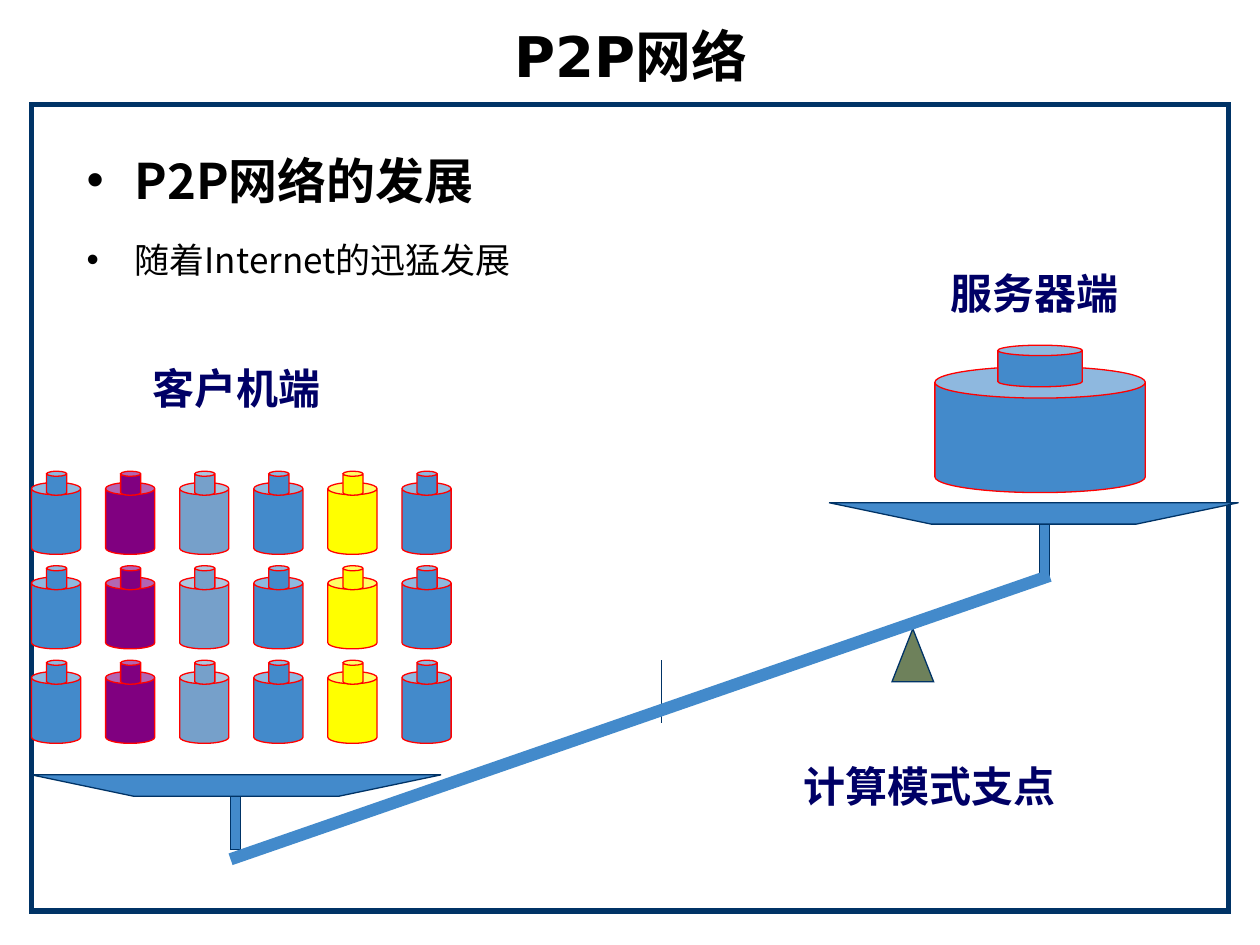
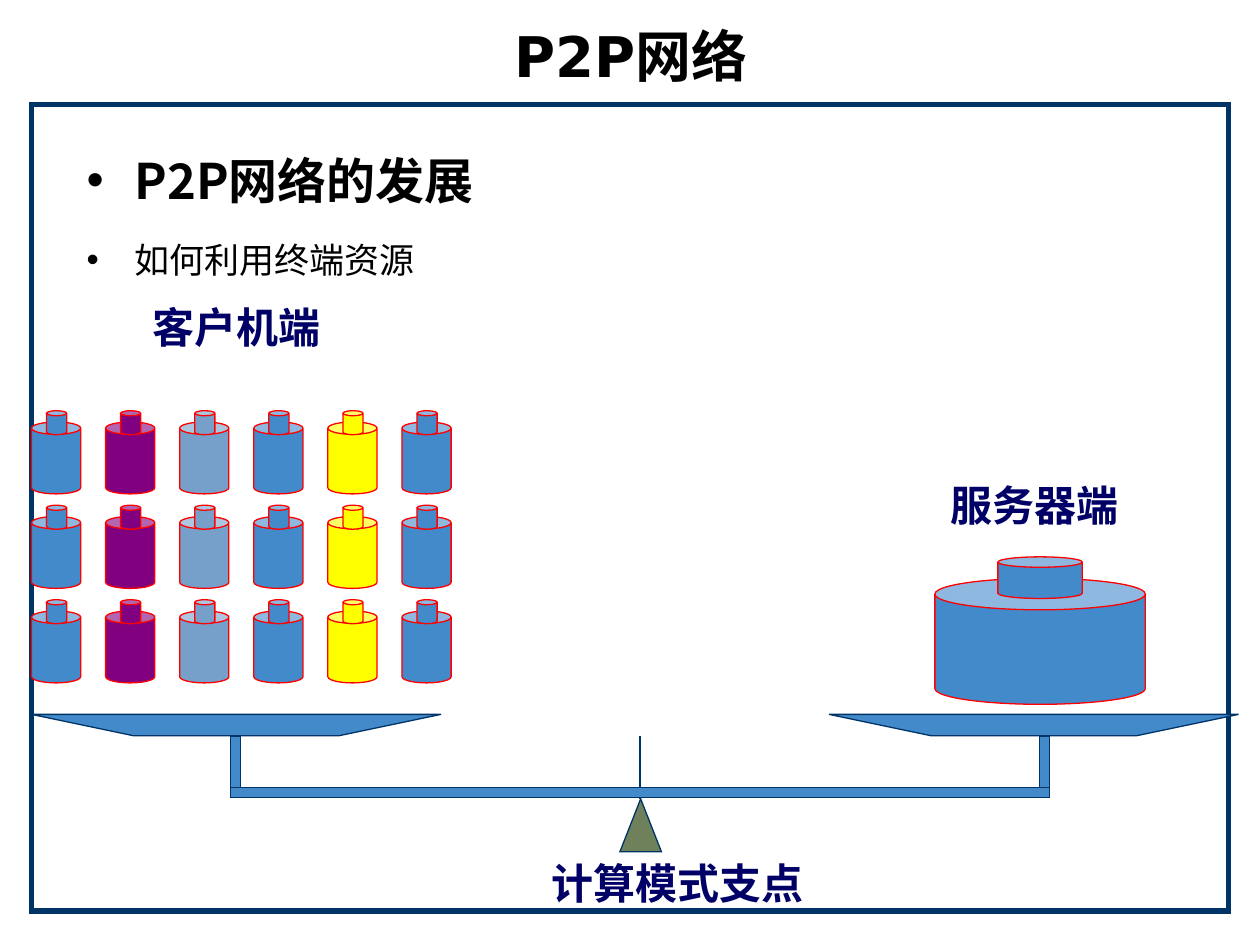
from lxml.etree import SubElement
from pptx import Presentation
from pptx.dml.color import RGBColor
from pptx.enum.shapes import MSO_CONNECTOR, MSO_SHAPE
from pptx.enum.text import MSO_ANCHOR, PP_ALIGN
from pptx.oxml.ns import qn
from pptx.util import Inches, Pt

BLACK = RGBColor(0x00, 0x00, 0x00)
WHITE = RGBColor(0xFF, 0xFF, 0xFF)
NAVY = RGBColor(0x00, 0x33, 0x66)
LABEL_BLUE = RGBColor(0x00, 0x00, 0x66)
BLUE = RGBColor(0x43, 0x8A, 0xCB)
PALE_BLUE = RGBColor(0x76, 0xA0, 0xCA)
PURPLE = RGBColor(0x80, 0x00, 0x80)
YELLOW = RGBColor(0xFF, 0xFF, 0x00)
OLIVE = RGBColor(0x6E, 0x81, 0x5B)
RED = RGBColor(0xFF, 0x00, 0x00)

CJK_FONT = "Noto Sans CJK SC"
TITLE_FONT = "DejaVu Sans"
LABEL_FONT = "Times New Roman"

CLIENT_COLOURS = [BLUE, PURPLE, PALE_BLUE, BLUE, YELLOW, BLUE]
CLIENT_ROWS = 3
CLIENT_LEFT, CLIENT_COLUMN_PITCH, CLIENT_ROW_PITCH = 0.25, 2.94 / 5, 0.75
LEFT_PAN_X, RIGHT_PAN_X = 0.25, 6.58
LEFT_POST_X, RIGHT_POST_X = 1.83, 8.25
PAN_WIDTH, PAN_DEPTH = 3.25, 0.17
BEAM_LEFT, BEAM_RIGHT, BEAM_DEPTH = 1.83, 8.33, 0.08
LABEL_WIDTH, FULCRUM_LABEL_WIDTH = 1.92, 2.4


def paint(shape, fill, line, width=0.75):
    """Give a shape a flat fill and a sharp-cornered outline without a shadow."""
    shape.shadow.inherit = False
    shape.fill.solid()
    shape.fill.fore_color.rgb = fill
    shape.line.color.rgb = line
    shape.line.width = Pt(width)
    SubElement(shape._element.spPr.find(qn("a:ln")), qn("a:miter"), lim="800000")


def add_block(shapes, preset, box, fill, line=NAVY, width=0.75):
    """Add a painted preset shape at a box given in inches."""
    block = shapes.add_shape(preset, *map(Inches, box))
    paint(block, fill, line, width)


def add_stroke(slide, start, end, colour, width):
    """Add a straight line between two points in inches."""
    stroke = slide.shapes.add_connector(
        MSO_CONNECTOR.STRAIGHT, *map(Inches, (*start, *end)))
    stroke.line.color.rgb = colour
    stroke.line.width = Pt(width)
    SubElement(stroke._element.spPr, qn("a:effectLst"))


def add_frame(slide, box, anchor):
    """Add a wrapping text box and return its text frame."""
    frame = slide.shapes.add_textbox(*map(Inches, box)).text_frame
    frame.word_wrap = True
    frame.vertical_anchor = anchor
    return frame


def style_runs(paragraph, size, font, colour, bold):
    """Format every run for Latin and East Asian text."""
    for run in paragraph.runs:
        run.font.size = Pt(size)
        run.font.bold = bold
        run.font.color.rgb = colour
        run.font.name = font
        SubElement(run._r.get_or_add_rPr(), qn("a:ea"), typeface=CJK_FONT)


def add_centred(slide, text, box, size, font, colour):
    """Add one bold line centred in its box."""
    frame = add_frame(slide, box, MSO_ANCHOR.MIDDLE)
    frame.text = text
    frame.paragraphs[0].alignment = PP_ALIGN.CENTER
    style_runs(frame.paragraphs[0], size, font, colour, True)


def add_label(slide, text, centre, top, width=LABEL_WIDTH):
    """Add a label centred over a part of the scale."""
    box = (centre - width / 2, top, width, 0.67)
    add_centred(slide, text, box, 24, LABEL_FONT, LABEL_BLUE)


def set_bullet(paragraph):
    """Give a paragraph a hanging black bullet."""
    properties = paragraph._p.get_or_add_pPr()
    properties.set("marL", str(Inches(0.38)))
    properties.set("indent", str(-Inches(0.38)))
    colour = SubElement(properties, qn("a:buClr"))
    SubElement(colour, qn("a:srgbClr"), val=str(BLACK))
    SubElement(properties, qn("a:buFont"), typeface="Arial")
    SubElement(properties, qn("a:buChar"), char="•")


def add_body(slide, heading, point):
    """Add the bulleted heading and the point under it."""
    frame = add_frame(slide, (0.59, 0.91, 9, 5.99), MSO_ANCHOR.TOP)
    frame.text = f"{heading}\n{point}"
    for paragraph, size, bold in zip(frame.paragraphs, (28, 20), (True, False)):
        set_bullet(paragraph)
        paragraph.line_spacing = 1.5
        style_runs(paragraph, size, CJK_FONT, BLACK, bold)
    frame.paragraphs[1].space_before = Pt(5)


def add_computer(shapes, body, cap, colour):
    """Add a cylinder with a smaller cylinder on top."""
    for box in (body, cap):
        add_block(shapes, MSO_SHAPE.CAN, box, colour, RED)


def add_clients(slide, pan_top):
    """Stack the rows of client machines above their pan."""
    for row in range(CLIENT_ROWS):
        clients = slide.shapes.add_group_shape().shapes
        top = pan_top - 0.82 - row * CLIENT_ROW_PITCH
        for column, colour in enumerate(CLIENT_COLOURS):
            left = CLIENT_LEFT + column * CLIENT_COLUMN_PITCH
            add_computer(clients, (left, top, 0.39, 0.57),
                         (left + 0.12, top - 0.09, 0.16, 0.19), colour)


def add_server(slide, pan_top):
    """Place the server above its pan."""
    server = slide.shapes.add_group_shape().shapes
    add_computer(server, (7.42, pan_top - 1.08, 1.67, 1),
                 (7.92, pan_top - 1.25, 0.67, 0.33), BLUE)


def add_pan(slide, left, top, post_left):
    """Add a tapered pan and the post that carries it."""
    bottom = top + PAN_DEPTH
    add_block(slide.shapes, MSO_SHAPE.RECTANGLE, (post_left, bottom, 0.08, 0.42), BLUE)
    outline = slide.shapes.build_freeform(Inches(left), Inches(top))
    corners = [(PAN_WIDTH / 4, bottom), (PAN_WIDTH * 3 / 4, bottom), (PAN_WIDTH, top)]
    outline.add_line_segments([(Inches(left + x), Inches(y)) for x, y in corners])
    paint(outline.convert_to_shape(), BLUE, NAVY)


def add_scale(slide, left_pan_top, right_pan_top, fulcrum, needle, fulcrum_label):
    """Add the loaded scale and its labels, without the beam."""
    add_pan(slide, LEFT_PAN_X, left_pan_top, LEFT_POST_X)
    add_pan(slide, RIGHT_PAN_X, right_pan_top, RIGHT_POST_X)
    add_block(slide.shapes, MSO_SHAPE.ISOSCELES_TRIANGLE, (*fulcrum, 0.33, 0.42), OLIVE)
    add_stroke(slide, *needle, NAVY, 0.75)
    add_server(slide, right_pan_top)
    add_clients(slide, left_pan_top)
    add_label(slide, "客户机端", 1.88, left_pan_top - 3.41)
    add_label(slide, "服务器端", 8.21, right_pan_top - 2)
    add_label(slide, "计算模式支点", *fulcrum_label, FULCRUM_LABEL_WIDTH)


def add_base(deck, point):
    """Start a slide with the frame, title and bullets."""
    slide = deck.slides.add_slide(deck.slide_layouts[6])
    add_block(slide.shapes, MSO_SHAPE.RECTANGLE, (0.25, 0.83, 9.5, 6.4), WHITE, NAVY, 3)
    add_body(slide, "P2P网络的发展", point)
    add_centred(slide, "P2P网络", (0.27, 0.13, 9.48, 0.62), 32, TITLE_FONT, BLACK)
    return slide


def main():
    """Build the tilted and the balanced scale slides."""
    deck = Presentation()
    deck.slide_width, deck.slide_height = Inches(10), Inches(7.5)

    tilted = add_base(deck, "随着Internet的迅猛发展")
    add_scale(tilted, 6.15, 3.99, fulcrum=(7.08, 4.99),
              needle=((5.25, 5.24), (5.25, 5.74)), fulcrum_label=(7.38, 5.9))
    add_stroke(tilted, (BEAM_LEFT, 6.82), (BEAM_RIGHT, 4.57), BLUE, 7)

    balanced = add_base(deck, "如何利用终端资源")
    add_scale(balanced, 5.67, 5.67, fulcrum=(4.92, 6.34),
              needle=((5.08, 5.84), (5.08, 6.34)), fulcrum_label=(5.38, 6.67))
    add_block(balanced.shapes, MSO_SHAPE.RECTANGLE,
              (BEAM_LEFT, 6.25, BEAM_RIGHT - BEAM_LEFT, BEAM_DEPTH), BLUE)

    deck.save("out.pptx")


if __name__ == "__main__":
    main()
